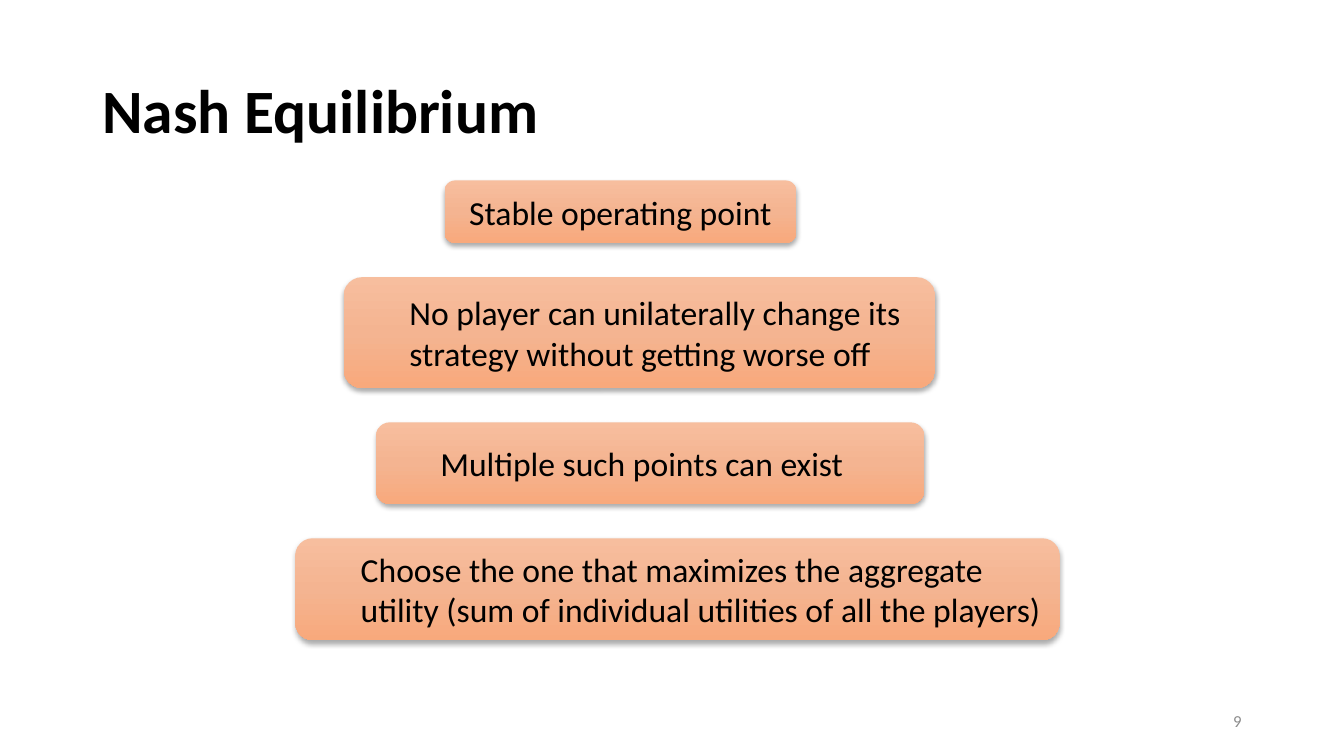
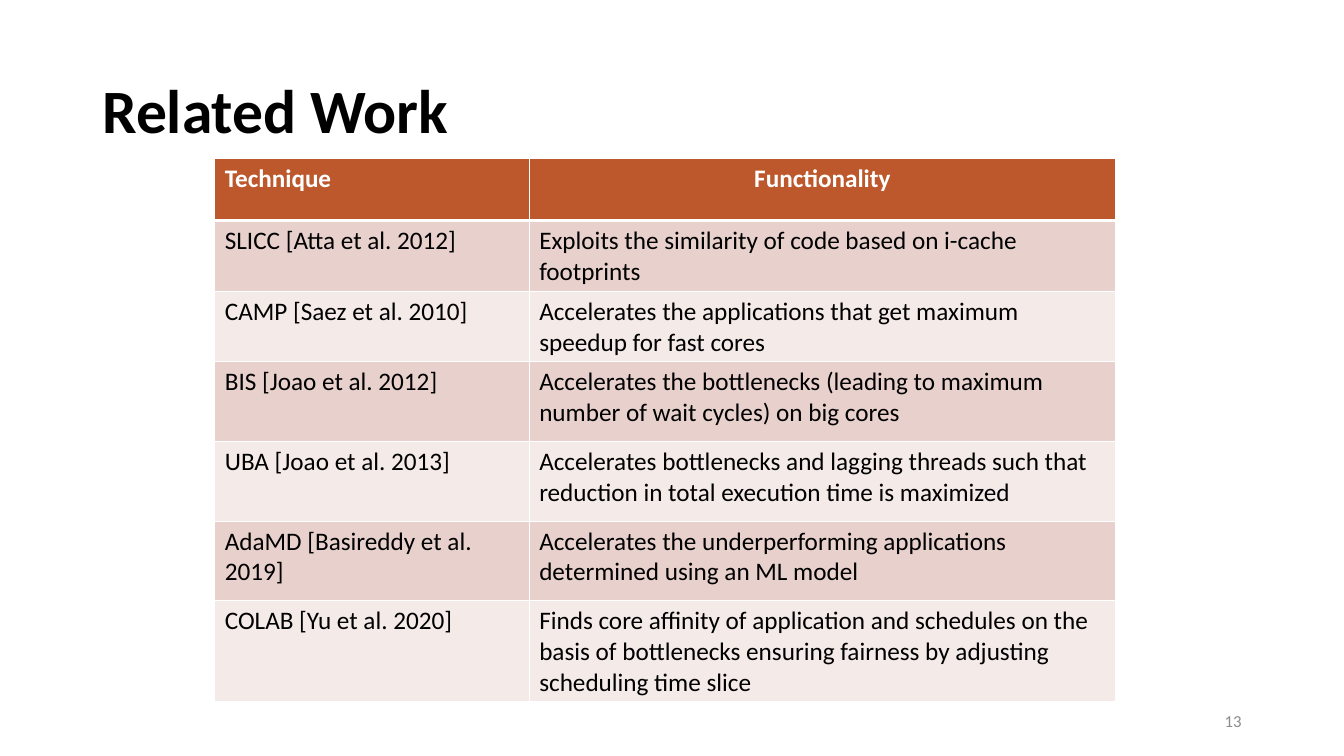
from copy import deepcopy
from dataclasses import dataclass

from lxml.etree import SubElement
from pptx import Presentation
from pptx.dml.color import RGBColor
from pptx.enum.shapes import MSO_SHAPE
from pptx.enum.text import MSO_ANCHOR, PP_ALIGN
from pptx.oxml.ns import qn
from pptx.util import Pt


@dataclass(frozen=True)
class Theme:
    font: str = "Calibri"
    ink: str = "000000"
    white: str = "FFFFFF"
    muted: str = "8C8C8C"
    header: str = "BD582C"
    bands: tuple = ("E8D1CD", "F4EAE8")
    gradient: tuple = ((0, "F7BE9E"), (0.5, "F4B491"), (1, "F8A97C"))
    title_size: int = 44
    box_size: int = 24
    table_size: int = 18
    number_size: int = 12


THEME = Theme()

# Content
STATEMENT_TOP, STATEMENT_GAP = 128.9, 24.5
STATEMENTS = [  # text, left, width, height, alignment, indent
    ("Stable operating point", 317.5, 251.3, 44.6, PP_ALIGN.CENTER, 0),
    ("No player can unilaterally change its strategy without getting worse off",
     245.5, 422.6, 79.2, PP_ALIGN.LEFT, 36),
    ("Multiple such points can exist", 268.6, 391.7, 58.3, PP_ALIGN.LEFT, 36),
    ("Choose the one that maximizes the aggregate utility "
     "(sum of individual utilities of all the players)",
     211, 545.8, 72.7, PP_ALIGN.LEFT, 36),
]

TABLE_LEFT, TABLE_TOP = 153.4, 113
COLUMN_WIDTHS = (224.6, 419)
ROW_HEIGHTS = (44.6,) * 3 + (56.9,) * 4
RELATED_WORK = [
    ("Technique", "Functionality"),
    ("SLICC [Atta et al. 2012]",
     "Exploits the similarity of code based on i-cache footprints"),
    ("CAMP [Saez et al. 2010]",
     "Accelerates the applications that get maximum speedup for fast cores"),
    ("BIS [Joao et al. 2012]",
     "Accelerates the bottlenecks (leading to maximum number of wait cycles) on big cores"),
    ("UBA [Joao et al. 2013]",
     "Accelerates bottlenecks and lagging threads such that "
     "reduction in total execution time is maximized"),
    ("AdaMD [Basireddy et al. 2019]",
     "Accelerates the underperforming applications determined using an ML model"),
    ("COLAB [Yu et al. 2020]",
     "Finds core affinity of application and schedules on the basis of bottlenecks "
     "ensuring fairness by adjusting scheduling time slice"),
]


# Shared helpers
def write(frame, text, size, color=THEME.ink, bold=False, align=PP_ALIGN.LEFT,
          indent=0, line_spacing=None):
    frame.word_wrap = True
    para = frame.paragraphs[0]
    para.alignment = align
    if indent:
        para._p.get_or_add_pPr().set("marL", str(Pt(indent)))
    if line_spacing:
        para.line_spacing = line_spacing
    span = para.add_run()
    span.text = text
    span.font.name = THEME.font
    span.font.size = Pt(size)
    span.font.bold = bold
    span.font.color.rgb = RGBColor.from_string(color)


def add_label(page, text, left, top, width, height, **style):
    box = page.shapes.add_textbox(Pt(left), Pt(top), Pt(width), Pt(height))
    box.text_frame.vertical_anchor = MSO_ANCHOR.MIDDLE
    write(box.text_frame, text, **style)


def add_page(deck, title, number):
    page = deck.slides.add_slide(deck.slide_layouts[6])
    add_label(page, title, 66, 28.8, 828, 104.4,
              size=THEME.title_size, bold=True, line_spacing=0.9)
    add_label(page, number, 678, 500.4, 216, 28.8,
              size=THEME.number_size, color=THEME.muted, align=PP_ALIGN.RIGHT)
    return page


# Statement boxes
def fill_gradient(box):
    box.fill.gradient()
    stops = box._element.spPr.find(".//" + qn("a:gsLst"))
    stops.insert(1, deepcopy(stops[0]))
    for stop, (position, color) in zip(box.fill.gradient_stops, THEME.gradient):
        stop.position = position
        stop.color.rgb = RGBColor.from_string(color)
    box.fill.gradient_angle = 270


def add_soft_shadow(box):
    box.shadow.inherit = False
    effects = box._element.spPr.find(qn("a:effectLst"))
    shadow = SubElement(effects, qn("a:outerShdw"), blurRad=str(Pt(3.5)),
                        dist=str(Pt(2.2)), dir="5400000", rotWithShape="0")
    color = SubElement(shadow, qn("a:srgbClr"), val=THEME.ink)
    SubElement(color, qn("a:alpha"), val="32000")


def add_statements(page):
    top = STATEMENT_TOP
    for text, left, width, height, align, indent in STATEMENTS:
        box = page.shapes.add_shape(MSO_SHAPE.ROUNDED_RECTANGLE,
                                    Pt(left), Pt(top), Pt(width), Pt(height))
        fill_gradient(box)
        box.line.fill.background()
        add_soft_shadow(box)
        box.text_frame.vertical_anchor = MSO_ANCHOR.MIDDLE
        write(box.text_frame, text, THEME.box_size, align=align, indent=indent)
        top += height + STATEMENT_GAP


# Table
def set_borders(cell, **widths):
    properties = cell._tc.get_or_add_tcPr()
    for side in "LRTB":
        line = SubElement(properties, qn(f"a:ln{side}"), w=str(Pt(widths.get(side, 1))))
        fill = SubElement(line, qn("a:solidFill"))
        SubElement(fill, qn("a:srgbClr"), val=THEME.white)


def add_related_work(page):
    table = page.shapes.add_table(
        len(RELATED_WORK), len(COLUMN_WIDTHS), Pt(TABLE_LEFT), Pt(TABLE_TOP),
        Pt(sum(COLUMN_WIDTHS)), Pt(sum(ROW_HEIGHTS))).table
    for column, width in zip(table.columns, COLUMN_WIDTHS):
        column.width = Pt(width)
    for row_index, (row, height) in enumerate(zip(table.rows, ROW_HEIGHTS)):
        row.height = Pt(height)
        is_header = row_index == 0
        background = THEME.header if is_header else THEME.bands[(row_index - 1) % 2]
        for column_index, cell in enumerate(row.cells):
            set_borders(cell, B=3 if is_header else 1, T=3 if row_index == 1 else 1)
            cell.fill.solid()
            cell.fill.fore_color.rgb = RGBColor.from_string(background)
            centered = is_header and column_index == 1
            write(cell.text_frame, RELATED_WORK[row_index][column_index],
                  THEME.table_size, bold=is_header,
                  color=THEME.white if is_header else THEME.ink,
                  align=PP_ALIGN.CENTER if centered else PP_ALIGN.LEFT)


def main():
    deck = Presentation()
    deck.slide_width, deck.slide_height = Pt(960), Pt(540)
    add_statements(add_page(deck, "Nash Equilibrium", "9"))
    add_related_work(add_page(deck, "Related Work", "13"))
    deck.save("out.pptx")


if __name__ == "__main__":
    main()
